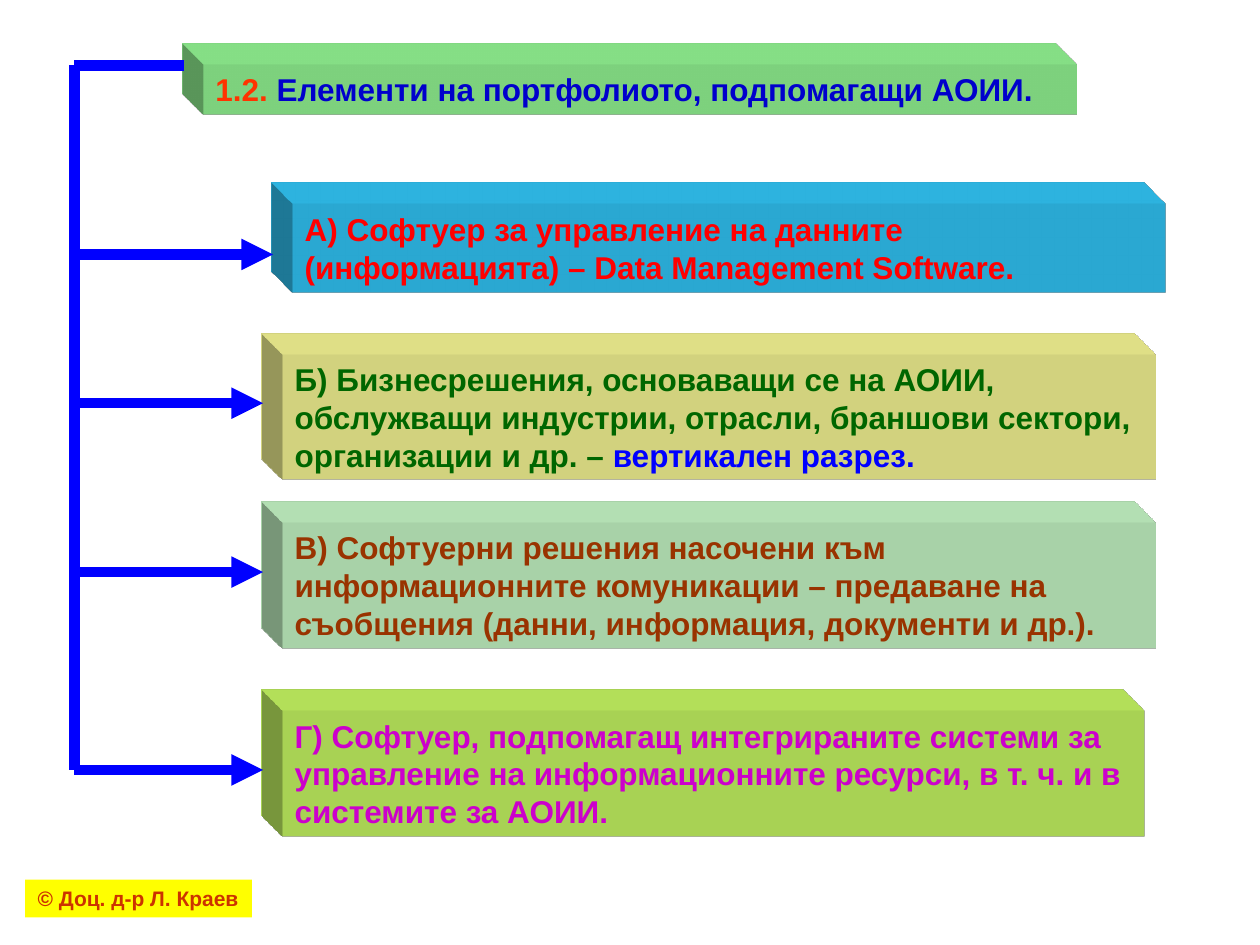
from lxml import etree
from pptx import Presentation
from pptx.dml.color import RGBColor
from pptx.enum import shapes, text
from pptx.oxml import parse_xml
from pptx.oxml.ns import nsdecls, qn
from pptx.util import Pt

FONT = "Arial"
HUES = {
    "line": "0000FF", "note": "FFFF00", "mint": "99FF99", "sky": "33CCFF",
    "cream": "FFFF99", "pale": "CCFFCC", "lime": "CCFF66",
    "rust": "CC3300", "orange": "FF3300", "navy": "0000CC", "red": "FF0000",
    "green": "006600", "blue": "0000FF", "brown": "993300", "violet": "CC00CC",
}

# left, top, width, height, fill, runs
HEAD = (116, 36.7, 499, 29, "mint", [
    ("1.2.", "orange"),
    (" Елементи на портфолиото, подпомагащи АОИИ.", "navy")])
ITEMS = [
    (167, 116.6, 499, 50.4, "sky", [
        ("А) Софтуер за управление на данните (информацията) – "
         "Data Management Software.", "red")]),
    (161.3, 202.3, 499, 72, "cream", [
        ("Б) Бизнесрешения, основаващи се на АОИИ, обслужващи индустрии, "
         "отрасли, браншови сектори, организации и др. – ", "green"),
        ("вертикален разрез.", "blue")]),
    (161.3, 298.4, 499, 72, "pale", [
        ("В) Софтуерни решения насочени към информационните комуникации – "
         "предаване на съобщения (данни, информация, документи и др.).",
         "brown")]),
    (161.3, 406, 493, 72, "lime", [
        ("Г) Софтуер, подпомагащ интегрираните системи за управление на "
         "информационните ресурси, в т. ч. и в системите за АОИИ.",
         "violet")]),
]
NOTE = (14.4, 502.6, 129.6, 21.6, "note", [("© Доц. д-р Л. Краев", "rust")])

TRUNK = 42.5                        # x of the upright line
ROOT = 37.4                         # y of the line to the heading
ROWS = [145.4, 230.4, 326.9, 440]   # y of each arrow
GAP = 11                            # from a line's end to a box front


def color(name):
    return RGBColor.from_string(HUES[name])


def add_box(slide, box, size=18, wrap=True):
    left, top, width, height, fill, runs = box
    shape = slide.shapes.add_shape(
        shapes.MSO_SHAPE.RECTANGLE, Pt(left), Pt(top), Pt(width), Pt(height))
    shape.shadow.inherit = False
    shape.fill.solid()
    shape.fill.fore_color.rgb = color(fill)
    shape.line.fill.background()
    frame = shape.text_frame
    frame.word_wrap = wrap
    frame.auto_size = text.MSO_AUTO_SIZE.SHAPE_TO_FIT_TEXT
    frame.vertical_anchor = text.MSO_ANCHOR.TOP
    para = frame.paragraphs[0]
    para.alignment = text.PP_ALIGN.LEFT
    for words, hue in runs:
        run = para.add_run()
        run.text = words
        run.font.name = FONT
        run.font.size = Pt(size)
        run.font.bold = True
        run.font.color.rgb = color(hue)
    return shape


def extrude(shape, fill):
    """Give the box depth towards the top left."""
    props = shape.fill._xPr
    props.append(parse_xml(
        f'<a:scene3d {nsdecls("a")}><a:camera prst="legacyObliqueTopLeft"/>'
        '<a:lightRig rig="legacyFlat3" dir="l"/></a:scene3d>'))
    props.append(parse_xml(
        f'<a:sp3d {nsdecls("a")} extrusionH="430200" '
        'prstMaterial="legacyMatte">'
        '<a:bevelT w="13500" h="13500" prst="angle"/>'
        '<a:bevelB w="13500" h="13500" prst="angle"/>'
        f'<a:extrusionClr><a:srgbClr val="{HUES[fill]}"/></a:extrusionClr>'
        '</a:sp3d>'))


def add_line(slide, x1, y1, x2, y2, arrow=False):
    line = slide.shapes.add_connector(
        shapes.MSO_CONNECTOR.STRAIGHT, Pt(x1), Pt(y1), Pt(x2), Pt(y2))
    line.line.width = Pt(6)
    line.line.color.rgb = color("line")
    if arrow:
        etree.SubElement(line.line._get_or_add_ln(), qn("a:tailEnd"),
                         type="triangle")
    etree.SubElement(line._element.spPr, qn("a:effectLst"))


def main():
    deck = Presentation()
    deck.slide_width, deck.slide_height = Pt(720), Pt(540)
    slide = deck.slides.add_slide(deck.slide_layouts[6])

    add_box(slide, NOTE, size=12, wrap=False)
    for box in [HEAD] + ITEMS:
        extrude(add_box(slide, box), box[4])

    add_line(slide, HEAD[0] - GAP, ROOT, TRUNK, ROOT)
    add_line(slide, TRUNK, ROOT, TRUNK, ROWS[-1])
    for box, y in zip(ITEMS, ROWS):
        add_line(slide, TRUNK, y, box[0] - GAP, y, arrow=True)

    deck.save("out.pptx")


if __name__ == "__main__":
    main()
